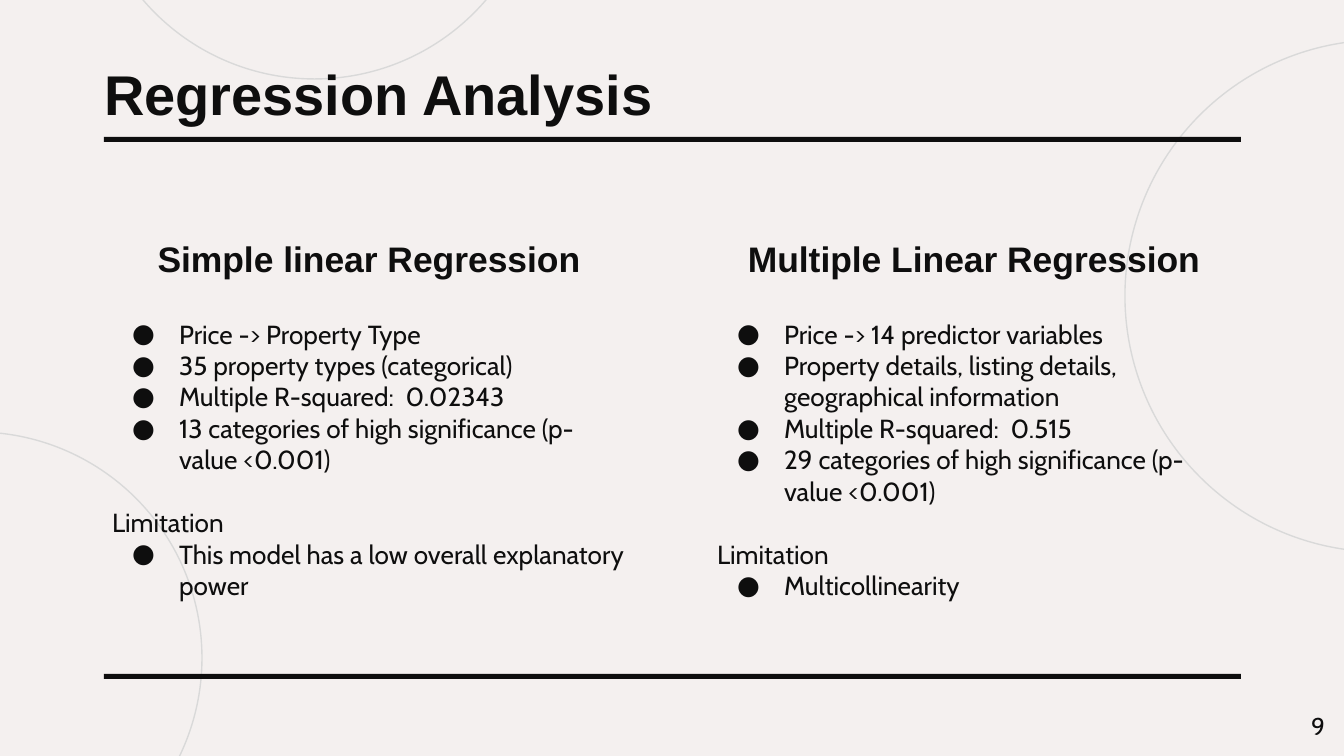
from lxml import etree
from pptx import Presentation
from pptx.dml.color import RGBColor
from pptx.enum.shapes import MSO_SHAPE
from pptx.enum.text import MSO_ANCHOR, MSO_AUTO_SIZE, PP_ALIGN
from pptx.oxml.ns import qn
from pptx.util import Pt

OVAL, RECT = MSO_SHAPE.OVAL, MSO_SHAPE.RECTANGLE
TOP, BOTTOM = MSO_ANCHOR.TOP, MSO_ANCHOR.BOTTOM
LEFT, CENTER, RIGHT = PP_ALIGN.LEFT, PP_ALIGN.CENTER, PP_ALIGN.RIGHT
NO_FIT = MSO_AUTO_SIZE.NONE

COLORS = {"background": "F4F0EF", "ink": "0E0E0E", "circle": "D9D9D9"}
TITLE = "Regression Analysis"
PAGE = "9"
MODELS = [
    {
        "heading": "Simple linear Regression",
        "facts": [
            "Price -> Property Type",
            "35 property types (categorical)",
            "Multiple R-squared:  0.02343",
            "13 categories of high significance (p-value <0.001)",
        ],
        "limitation": "This model has a low overall explanatory power",
    },
    {
        "heading": "Multiple Linear Regression",
        "facts": [
            "Price -> 14 predictor variables",
            "Property details, listing details, geographical information",
            "Multiple R-squared:  0.515",
            "29 categories of high significance (p-value <0.001)",
        ],
        "limitation": "Multicollinearity",
    },
]
CIRCLES = [(89, -372, 451), (1125, 40, 512), (-250, 432, 452)]
RULE_TOPS = [137, 674]
COLUMN_LEFT, COLUMN_STEP, COLUMN_WIDTH = 99, 605, 540
INSET = 13


def px(n):
    return round(n * 914400 / 134.4)


def rgb(name):
    return RGBColor.from_string(COLORS[name])


def place(shape, x, y, w, h):
    shape.left, shape.top, shape.width, shape.height = map(px, (x, y, w, h))


def frame(shape, anchor=TOP):
    tf = shape.text_frame
    tf.word_wrap = True
    tf.auto_size = NO_FIT
    tf.vertical_anchor = anchor
    tf.margin_left = tf.margin_right = px(INSET)
    tf.margin_top = tf.margin_bottom = px(INSET)
    return tf


def write(p, text, size=14, font="Cabin", bold=False, align=LEFT, bullet=False, before=0):
    pPr = p._p.get_or_add_pPr()
    pPr.set("marL", str(px(67) if bullet else 0))
    pPr.set("indent", str(px(-47) if bullet else 0))
    if bullet:
        clr = etree.SubElement(pPr, qn("a:buClr"))
        etree.SubElement(clr, qn("a:srgbClr"), val=COLORS["ink"])
        etree.SubElement(pPr, qn("a:buFont"), typeface="Cabin")
        etree.SubElement(pPr, qn("a:buChar"), char="●")
    else:
        etree.SubElement(pPr, qn("a:buNone"))
    p.alignment = align
    p.line_spacing = 1.0
    p.space_before = Pt(before)
    p.space_after = Pt(0)
    r = p.add_run()
    r.text = text
    r.font.size = Pt(size)
    r.font.name = font
    r.font.bold = bold
    r.font.color.rgb = rgb("ink")


prs = Presentation()
prs.slide_width, prs.slide_height = px(1344), px(756)
s = prs.slides.add_slide(prs.slide_layouts[4])
s.background.fill.solid()
s.background.fill.fore_color.rgb = rgb("background")

title = s.shapes.title
place(title, 91, 47, 809, 90)
write(frame(title).paragraphs[0], TITLE, size=30, font="Arial", bold=True)

for x, y, d in CIRCLES:
    circle = s.shapes.add_shape(OVAL, px(x), px(y), px(d), px(d))
    circle.shadow.inherit = False
    circle.fill.background()
    circle.line.color.rgb = rgb("circle")
    circle.line.width = Pt(0.75)
    title.element.addprevious(circle.element)

for y in RULE_TOPS:
    rule = s.shapes.add_shape(RECT, px(104), px(y), px(1137), px(5))
    rule.shadow.inherit = False
    rule.fill.solid()
    rule.fill.fore_color.rgb = rgb("ink")
    rule.line.fill.background()

for i, model in enumerate(MODELS):
    x = COLUMN_LEFT + i * COLUMN_STEP
    heading, body = s.placeholders[2 * i + 1], s.placeholders[2 * i + 2]
    place(heading, x, 149, COLUMN_WIDTH, 144)
    write(frame(heading, BOTTOM).paragraphs[0], model["heading"],
          size=19, font="Arial", bold=True, align=CENTER)

    place(body, x, 305, COLUMN_WIDTH, 378)
    tf = frame(body)
    lines = [(fact, {"bullet": True}) for fact in model["facts"]]
    lines += [("Limitation", {"before": 17}), (model["limitation"], {"bullet": True})]
    for n, (text, style) in enumerate(lines):
        write(tf.add_paragraph() if n else tf.paragraphs[0], text, **style)

number = s.shapes.add_textbox(px(1258), px(698), px(80), px(58))
write(frame(number).paragraphs[0], PAGE, size=13, align=RIGHT)

prs.save("out.pptx")
